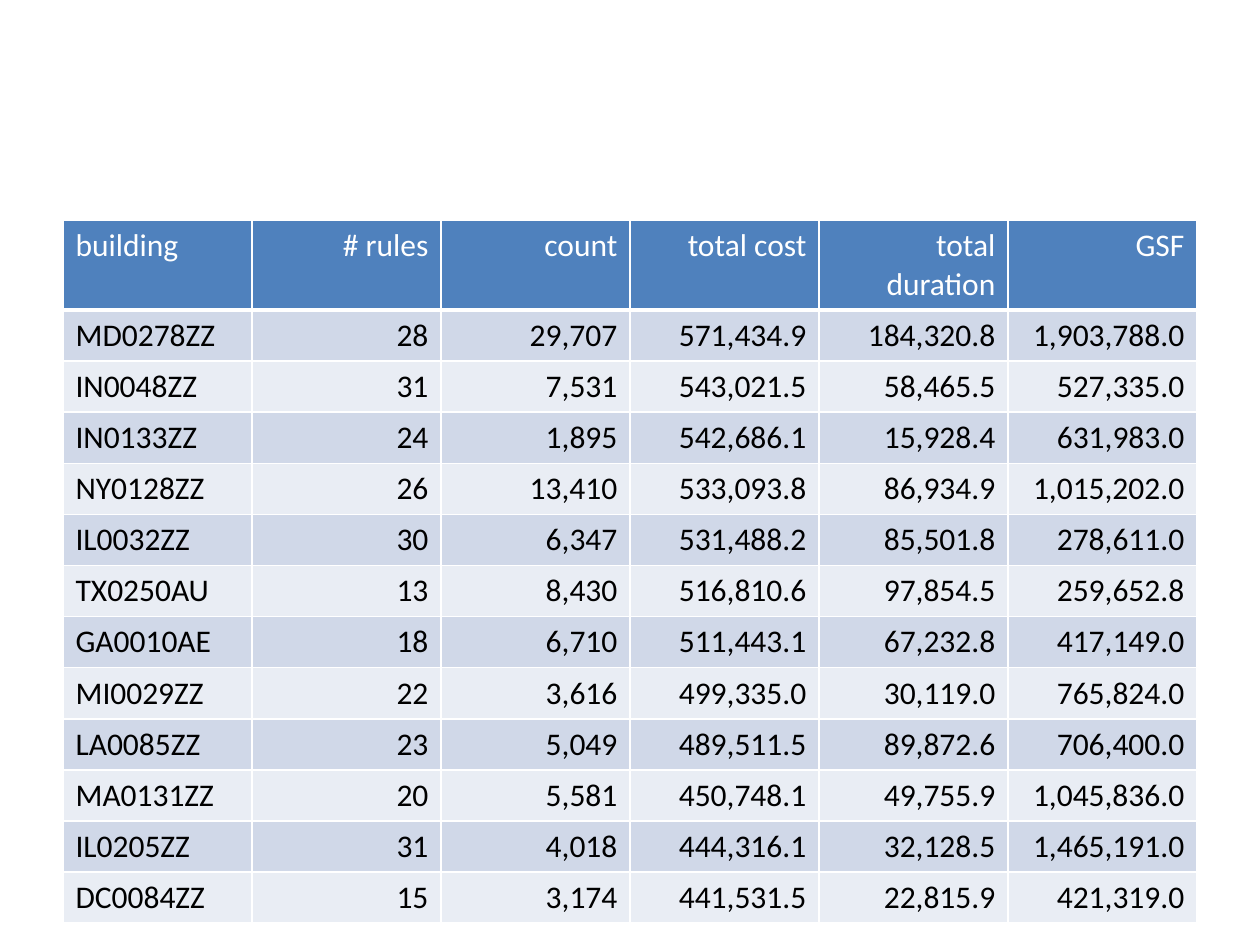
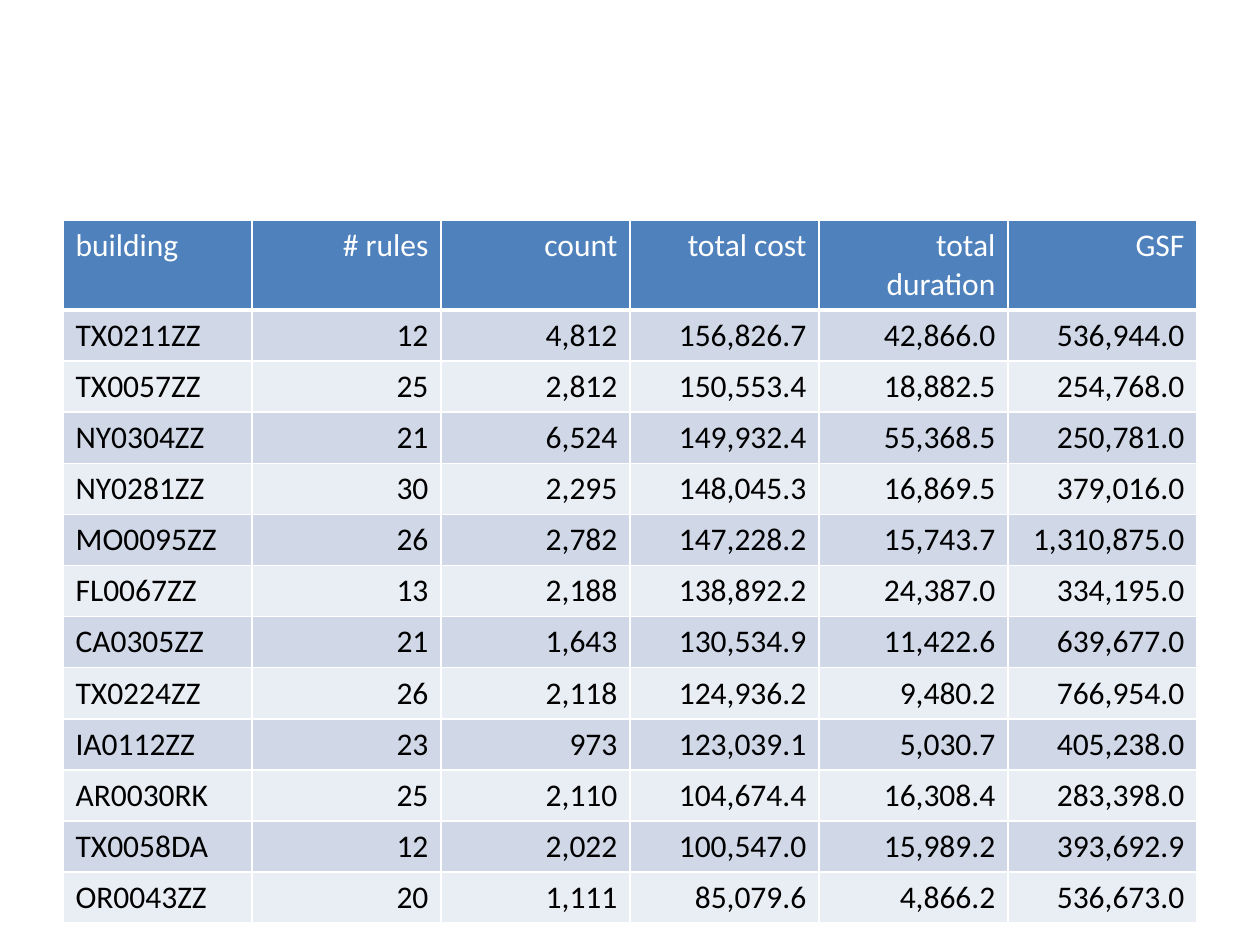
from dataclasses import dataclass
from typing import NamedTuple

from lxml import etree
from pptx import Presentation
from pptx.dml.color import RGBColor
from pptx.enum.text import PP_ALIGN
from pptx.oxml.ns import qn
from pptx.util import Inches, Pt

LEFT, RIGHT = PP_ALIGN.LEFT, PP_ALIGN.RIGHT


@dataclass(frozen=True)
class Theme:
    font: str = "Calibri"
    size: int = 18
    header_fill: str = "4F81BD"
    header_text: str = "FFFFFF"
    body_text: str = "000000"
    bands: tuple[str, str] = ("D0D8E8", "E9EDF4")
    rule: str = "FFFFFF"
    thin: int = 1
    thick: int = 3


@dataclass(frozen=True)
class Grid:
    width: float = 10
    height: float = 7.5
    left: float = 0.5
    top: float = 1.75
    column: float = 1.5
    row: float = 0.38


class Building(NamedTuple):
    code: str
    rules: int
    count: int
    cost: float
    duration: float
    gsf: float


THEME = Theme()
GRID = Grid()
HEADINGS = ("building", "# rules", "count", "total cost", "total duration", "GSF")

HIGHER_COST = (
    Building("MD0278ZZ", 28, 29707, 571434.9, 184320.8, 1903788.0),
    Building("IN0048ZZ", 31, 7531, 543021.5, 58465.5, 527335.0),
    Building("IN0133ZZ", 24, 1895, 542686.1, 15928.4, 631983.0),
    Building("NY0128ZZ", 26, 13410, 533093.8, 86934.9, 1015202.0),
    Building("IL0032ZZ", 30, 6347, 531488.2, 85501.8, 278611.0),
    Building("TX0250AU", 13, 8430, 516810.6, 97854.5, 259652.8),
    Building("GA0010AE", 18, 6710, 511443.1, 67232.8, 417149.0),
    Building("MI0029ZZ", 22, 3616, 499335.0, 30119.0, 765824.0),
    Building("LA0085ZZ", 23, 5049, 489511.5, 89872.6, 706400.0),
    Building("MA0131ZZ", 20, 5581, 450748.1, 49755.9, 1045836.0),
    Building("IL0205ZZ", 31, 4018, 444316.1, 32128.5, 1465191.0),
    Building("DC0084ZZ", 15, 3174, 441531.5, 22815.9, 421319.0),
)
LOWER_COST = (
    Building("TX0211ZZ", 12, 4812, 156826.7, 42866.0, 536944.0),
    Building("TX0057ZZ", 25, 2812, 150553.4, 18882.5, 254768.0),
    Building("NY0304ZZ", 21, 6524, 149932.4, 55368.5, 250781.0),
    Building("NY0281ZZ", 30, 2295, 148045.3, 16869.5, 379016.0),
    Building("MO0095ZZ", 26, 2782, 147228.2, 15743.7, 1310875.0),
    Building("FL0067ZZ", 13, 2188, 138892.2, 24387.0, 334195.0),
    Building("CA0305ZZ", 21, 1643, 130534.9, 11422.6, 639677.0),
    Building("TX0224ZZ", 26, 2118, 124936.2, 9480.2, 766954.0),
    Building("IA0112ZZ", 23, 973, 123039.1, 5030.7, 405238.0),
    Building("AR0030RK", 25, 2110, 104674.4, 16308.4, 283398.0),
    Building("TX0058DA", 12, 2022, 100547.0, 15989.2, 393692.9),
    Building("OR0043ZZ", 20, 1111, 85079.6, 4866.2, 536673.0),
)


def set_borders(cell, bottom: int) -> None:
    """Rule all four sides; the schema wants the lines ahead of the fill."""
    tc_pr = cell._tc.get_or_add_tcPr()
    widths = {"a:lnL": THEME.thin, "a:lnR": THEME.thin, "a:lnT": THEME.thin, "a:lnB": bottom}
    for i, (tag, width) in enumerate(widths.items()):
        line = etree.Element(qn(tag), w=str(Pt(width)))
        fill = etree.SubElement(line, qn("a:solidFill"))
        etree.SubElement(fill, qn("a:srgbClr"), val=THEME.rule)
        tc_pr.insert(i, line)


def fill_cell(cell, text: str, align: PP_ALIGN, fill: str, color: str, bottom: int) -> None:
    cell.fill.solid()
    cell.fill.fore_color.rgb = RGBColor.from_string(fill)
    set_borders(cell, bottom)
    p = cell.text_frame.paragraphs[0]
    p.alignment = align
    r = p.add_run()
    r.text = text
    r.font.name = THEME.font
    r.font.size = Pt(THEME.size)
    r.font.bold = False
    r.font.color.rgb = RGBColor.from_string(color)


def add_building_slide(prs, buildings: tuple[Building, ...]) -> None:
    s = prs.slides.add_slide(prs.slide_layouts[6])
    rows = [HEADINGS]
    rows += [(b.code, *(f"{value:,}" for value in b[1:])) for b in buildings]
    table = s.shapes.add_table(
        len(rows), len(HEADINGS), Inches(GRID.left), Inches(GRID.top),
        Inches(GRID.column * len(HEADINGS)), Inches(GRID.row * len(rows)),
    ).table
    for i, row in enumerate(rows):
        if i == 0:
            style = (THEME.header_fill, THEME.header_text, THEME.thick)
        else:
            style = (THEME.bands[(i - 1) % 2], THEME.body_text, THEME.thin)
        for j, text in enumerate(row):
            fill_cell(table.cell(i, j), text, RIGHT if j else LEFT, *style)


def main() -> None:
    prs = Presentation()
    prs.slide_width, prs.slide_height = Inches(GRID.width), Inches(GRID.height)
    for buildings in (HIGHER_COST, LOWER_COST):
        add_building_slide(prs, buildings)
    prs.save("out.pptx")


if __name__ == "__main__":
    main()
